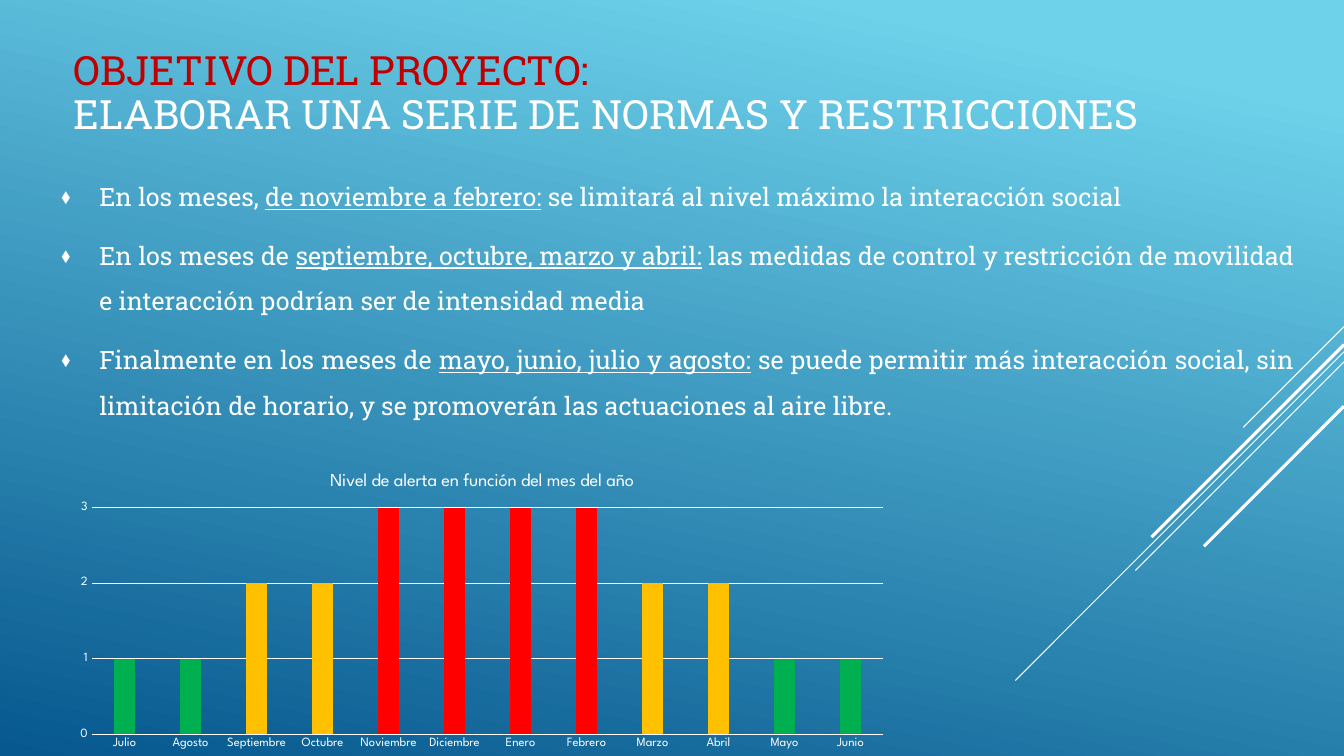
from dataclasses import dataclass

from lxml.etree import SubElement
from pptx import Presentation
from pptx.chart.data import CategoryChartData
from pptx.dml.color import RGBColor
from pptx.enum.chart import XL_CHART_TYPE as ChartType, XL_TICK_MARK as TickMark
from pptx.enum.shapes import MSO_CONNECTOR as Connector
from pptx.enum.text import MSO_ANCHOR as Anchor, MSO_AUTO_SIZE as AutoSize, PP_ALIGN as Align
from pptx.oxml.ns import qn
from pptx.util import Pt


@dataclass(frozen=True)
class Theme:
    white: str = "FFFFFF"
    accent: str = "C00000"
    sky: str = "6ED2EB"
    deep: str = "06588E"
    series: str = "052F61"
    levels: tuple = ("00B050", "FFC000", "FF0000")
    text_font: str = "Roboto Slab"
    chart_font: str = "League Spartan"
    title_size: float = 28.8
    body_size: float = 18
    chart_size: float = 10
    chart_title_size: float = 13
    axis_size: float = 9


THEME = Theme()
SLIDE_WIDTH, SLIDE_HEIGHT = 960, 540

# Each item: lead-in, underlined months, measure
MEASURES = [
    ("En los meses, ", "de noviembre a febrero:",
     " se limitará al nivel máximo la interacción social"),
    ("En los meses de ", "septiembre, octubre, marzo y abril:",
     " las medidas de control y restricción de movilidad e interacción"
     " podrían ser de intensidad media"),
    ("Finalmente en los meses de ", "mayo, junio, julio y agosto:",
     " se puede permitir más interacción social, sin limitación de horario,"
     " y se promoverán las actuaciones al aire libre."),
]

ALERTS = {
    "Julio": 1, "Agosto": 1, "Septiembre": 2, "Octubre": 2,
    "Noviembre": 3, "Diciembre": 3, "Enero": 3, "Febrero": 3,
    "Marzo": 2, "Abril": 2, "Mayo": 1, "Junio": 1,
}

# Diagonals from the right edge: start height, horizontal run, weight
DIAGONALS = [
    (233.3, 72, 0.75), (251.3, 234.7, 0.75), (258.5, 149, 0.75),
    (246.2, 137.5, 2.25), (290.2, 100, 2.25),
]


def rgb(color):
    return RGBColor.from_string(color)


def style_font(font, size, color=THEME.white, name=THEME.text_font, underline=False):
    font.size = Pt(size)
    font.name = name
    font.bold = False
    font.underline = underline
    font.color.rgb = rgb(color)


def add_text(paragraph, text, **style):
    run = paragraph.add_run()
    run.text = text
    style_font(run.font, **style)


def set_line(line, weight):
    line.color.rgb = rgb(THEME.white)
    line.width = Pt(weight)


def place(shape, left, top, width, height):
    shape.left, shape.top = Pt(left), Pt(top)
    shape.width, shape.height = Pt(width), Pt(height)
    frame = shape.text_frame
    frame.word_wrap = True
    frame.auto_size = AutoSize.NONE
    frame.vertical_anchor = Anchor.MIDDLE
    return frame


def add_bullet(paragraph, symbol, indent):
    props = paragraph._p.get_or_add_pPr()
    props.set("marL", str(Pt(indent)))
    props.set("indent", str(-Pt(indent)))
    color = SubElement(props, qn("a:buClr"))
    SubElement(color, qn("a:srgbClr"), val=THEME.white)
    SubElement(props, qn("a:buSzPct"), val="80000")
    SubElement(props, qn("a:buChar"), char=symbol)


def paint_background(slide):
    fill = slide.background.fill
    fill.gradient()
    fill.gradient_angle = 258
    stops = [(0.1, THEME.sky), (1, THEME.deep)]
    for stop, (position, color) in zip(fill.gradient_stops, stops):
        stop.position = position
        stop.color.rgb = rgb(color)


def add_diagonal(slide, top, run, weight):
    diagonal = slide.shapes.add_connector(
        Connector.STRAIGHT, Pt(SLIDE_WIDTH), Pt(top), Pt(SLIDE_WIDTH - run), Pt(top + run))
    set_line(diagonal.line, weight)
    SubElement(diagonal._element.spPr, qn("a:effectLst"))


def write_title(title):
    heading = place(title, 45.4, 26.6, 839.5, 82.1).paragraphs[0]
    heading.alignment = Align.LEFT
    heading.line_spacing = 0.9
    add_text(heading, "OBJETIVO DEL PROYECTO:", size=THEME.title_size, color=THEME.accent)
    heading.add_line_break()
    add_text(heading, "ELABORAR UNA SERIE DE NORMAS Y RESTRICCIONES", size=THEME.title_size)


def write_measures(body):
    frame = place(body, 36.7, 109.4, 895, 200.2)
    for index, parts in enumerate(MEASURES):
        item = frame.add_paragraph() if index else frame.paragraphs[0]
        item.alignment = Align.JUSTIFY
        item.line_spacing = 1.5
        item.space_before = Pt(3.6 if index else 0)
        item.space_after = Pt(6)
        add_bullet(item, "⬧", 27)
        for part in parts:
            add_text(item, part, size=THEME.body_size, underline=part == parts[1])


def style_axis(axis):
    axis.major_tick_mark = axis.minor_tick_mark = TickMark.NONE
    style_font(axis.tick_labels.font, THEME.axis_size, name=THEME.chart_font)


def add_alert_chart(slide):
    data = CategoryChartData()
    data.categories = list(ALERTS)
    data.add_series("Series 1", list(ALERTS.values()))
    chart = slide.shapes.add_chart(
        ChartType.COLUMN_CLUSTERED, Pt(45.4), Pt(326.2), Pt(597.6), Pt(213.8), data).chart
    style_font(chart.font, THEME.chart_size, name=THEME.chart_font)
    chart.has_legend = False

    # Chart title
    chart.has_title = True
    add_text(chart.chart_title.text_frame.paragraphs[0],
             "Nivel de alerta en función del mes del año",
             size=THEME.chart_title_size, name=THEME.chart_font)
    chart.chart_title.include_in_layout = False

    # Axes
    months, level = chart.category_axis, chart.value_axis
    style_axis(months)
    style_axis(level)
    set_line(months.format.line, 0.75)
    level.format.line.fill.background()
    level.minimum_scale, level.maximum_scale, level.major_unit = 0, 3, 1
    set_line(level.major_gridlines.format.line, 0.75)

    # Columns coloured by alert level
    plot = chart.plots[0]
    plot.gap_width, plot.overlap = 219, -27
    plot.vary_by_categories = False
    columns = plot.series[0]
    columns.format.fill.solid()
    columns.format.fill.fore_color.rgb = rgb(THEME.series)
    for index, alert in enumerate(ALERTS.values()):
        fill = columns.points[index].format.fill
        fill.solid()
        fill.fore_color.rgb = rgb(THEME.levels[alert - 1])


def main():
    deck = Presentation()
    deck.slide_width, deck.slide_height = Pt(SLIDE_WIDTH), Pt(SLIDE_HEIGHT)
    slide = deck.slides.add_slide(deck.slide_layouts[1])
    paint_background(slide)
    for diagonal in DIAGONALS:
        add_diagonal(slide, *diagonal)
    write_title(slide.shapes.title)
    write_measures(slide.placeholders[1])
    add_alert_chart(slide)
    deck.save("out.pptx")


if __name__ == "__main__":
    main()
